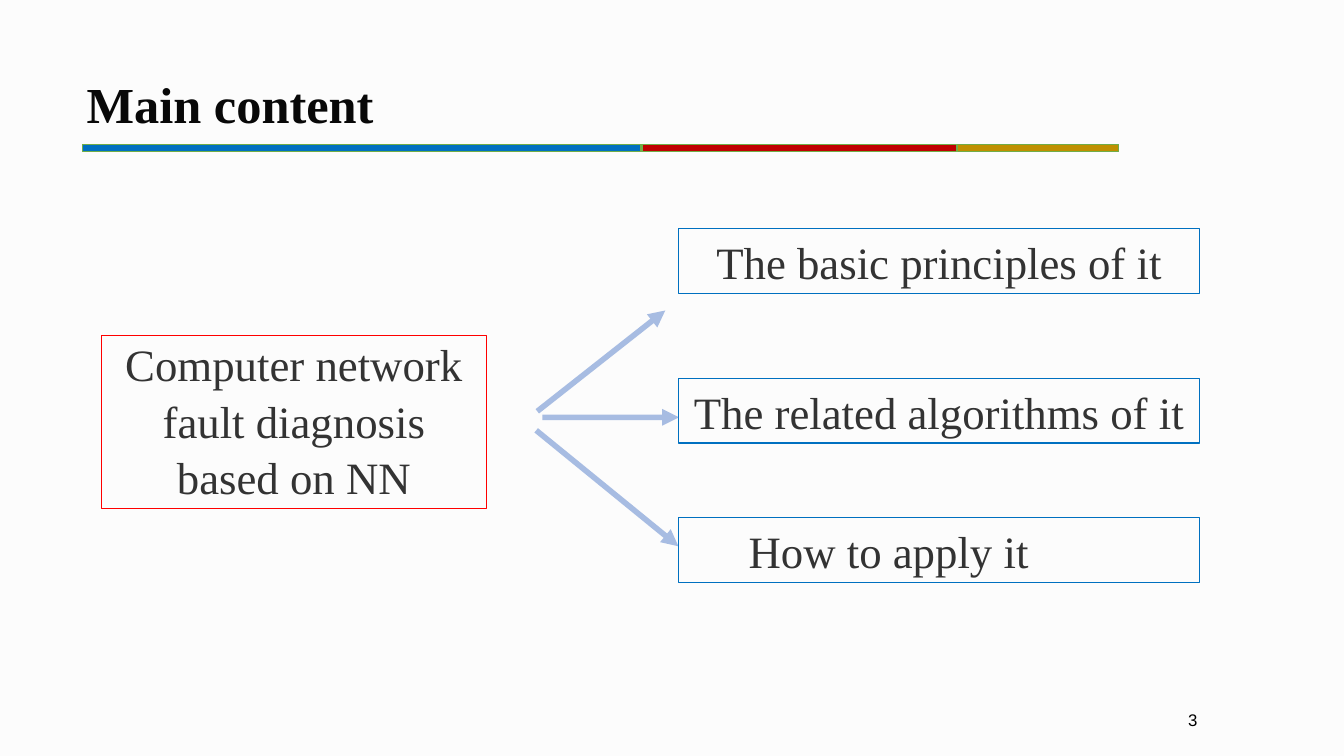
from lxml.etree import SubElement
from pptx import Presentation
from pptx.dml.color import RGBColor
from pptx.enum.shapes import MSO_CONNECTOR as Connector, MSO_SHAPE as Shape
from pptx.enum.text import MSO_ANCHOR as Anchor, MSO_AUTO_SIZE as AutoSize, PP_ALIGN as Align
from pptx.oxml.ns import qn
from pptx.util import Pt

COLORS = {
    "background": "FCFCFC", "title": "080808", "text": "333333", "number": "000000",
    "blue": "0070C0", "red": "C00000", "gold": "BF9000", "green": "70AD47",
    "topic": "FF0000", "arrow": "4472C4",
}
SERIF, SANS = "Times New Roman", "Arial"


def color(name):
    return RGBColor.from_string(COLORS[name])


def write_text(shape, text, font=SERIF, size=32, fill="text", bold=False,
               align=Align.CENTER, anchor=Anchor.BOTTOM, spacing=1.05, right=7.2):
    frame = shape.text_frame
    frame.word_wrap = True
    frame.auto_size = AutoSize.NONE
    frame.vertical_anchor = anchor
    frame.margin_left, frame.margin_right = Pt(7.2), Pt(right)
    frame.margin_top = frame.margin_bottom = Pt(3.6)
    paragraph = frame.paragraphs[0]
    paragraph.alignment = align
    paragraph.line_spacing = spacing
    run = paragraph.add_run()
    run.text = text
    run.font.name, run.font.size, run.font.bold = font, Pt(size), bold
    run.font.color.rgb = color(fill)


class SlideBuilder:
    def __init__(self, presentation):
        self.slide = presentation.slides.add_slide(presentation.slide_layouts[5])
        background = self.slide.background.fill
        background.solid()
        background.fore_color.rgb = color("background")

    def title(self, text, left, top, width, height):
        shape = self.slide.shapes.title
        shape.left, shape.top = Pt(left), Pt(top)
        shape.width, shape.height = Pt(width), Pt(height)
        write_text(shape, text, size=36, fill="title", bold=True,
                   align=Align.LEFT, spacing=1.0)

    def rectangle(self, left, top, width, height, line, weight=0.75, fill=None):
        shape = self.slide.shapes.add_shape(
            Shape.RECTANGLE, Pt(left), Pt(top), Pt(width), Pt(height))
        shape.shadow.inherit = False
        if fill:
            shape.fill.solid()
            shape.fill.fore_color.rgb = color(fill)
        else:
            shape.fill.background()
        shape.line.color.rgb = color(line)
        shape.line.width = Pt(weight)
        return shape

    def arrow(self, start, end):
        connector = self.slide.shapes.add_connector(
            Connector.STRAIGHT, *(Pt(value) for value in (*start, *end)))
        connector.line.color.rgb = color("arrow")
        connector.line.width = Pt(4)
        properties = connector._element.spPr
        # Transparency, arrowhead and no shadow
        tint = next(properties.iter(qn("a:srgbClr")))
        SubElement(tint, qn("a:alpha"), val="45000")
        SubElement(properties.find(qn("a:ln")), qn("a:tailEnd"), type="triangle")
        SubElement(properties, qn("a:effectLst"))

    def text_box(self, text, left, top, width, height, **style):
        shape = self.slide.shapes.add_textbox(Pt(left), Pt(top), Pt(width), Pt(height))
        write_text(shape, text, **style)


def main():
    presentation = Presentation()
    presentation.slide_width, presentation.slide_height = Pt(960), Pt(540)
    builder = SlideBuilder(presentation)

    # Heading and coloured rule
    builder.title("Main content", 54.7, 48.2, 707, 51.1)
    for left, width, fill in ((59, 399, "blue"), (458.6, 224.6, "red"), (684, 115, "gold")):
        builder.rectangle(left, 103, width, 5.4, line="green", weight=1, fill=fill)

    # Topic
    topic = builder.rectangle(72.5, 239.8, 275, 123.6, line="topic")
    write_text(topic, "Computer network fault diagnosis based on NN")

    # Parts of the topic, the last one set off to the left
    for text, top, right in (
        ("The basic principles of it", 163.3, 7.2),
        ("The related algorithms of it", 270.4, 7.2),
        ("How to apply it", 369.8, 79.2),
    ):
        part = builder.rectangle(484.8, top, 372.2, 46.1, line="blue")
        write_text(part, text, right=right)

    # Arrows from the topic to its parts
    for start, end in (
        ((383.8, 293.8), (475.2, 221.8)),
        ((387.4, 298.1), (485, 298.1)),
        ((383, 307.4), (484.6, 390.2)),
    ):
        builder.arrow(start, end)

    # Slide number
    builder.text_box("3", 683.3, 503.3, 216, 28.8, font=SANS, size=12, fill="number",
                     align=Align.RIGHT, anchor=Anchor.TOP, spacing=1.0, right=44)

    presentation.save("out.pptx")


if __name__ == "__main__":
    main()
